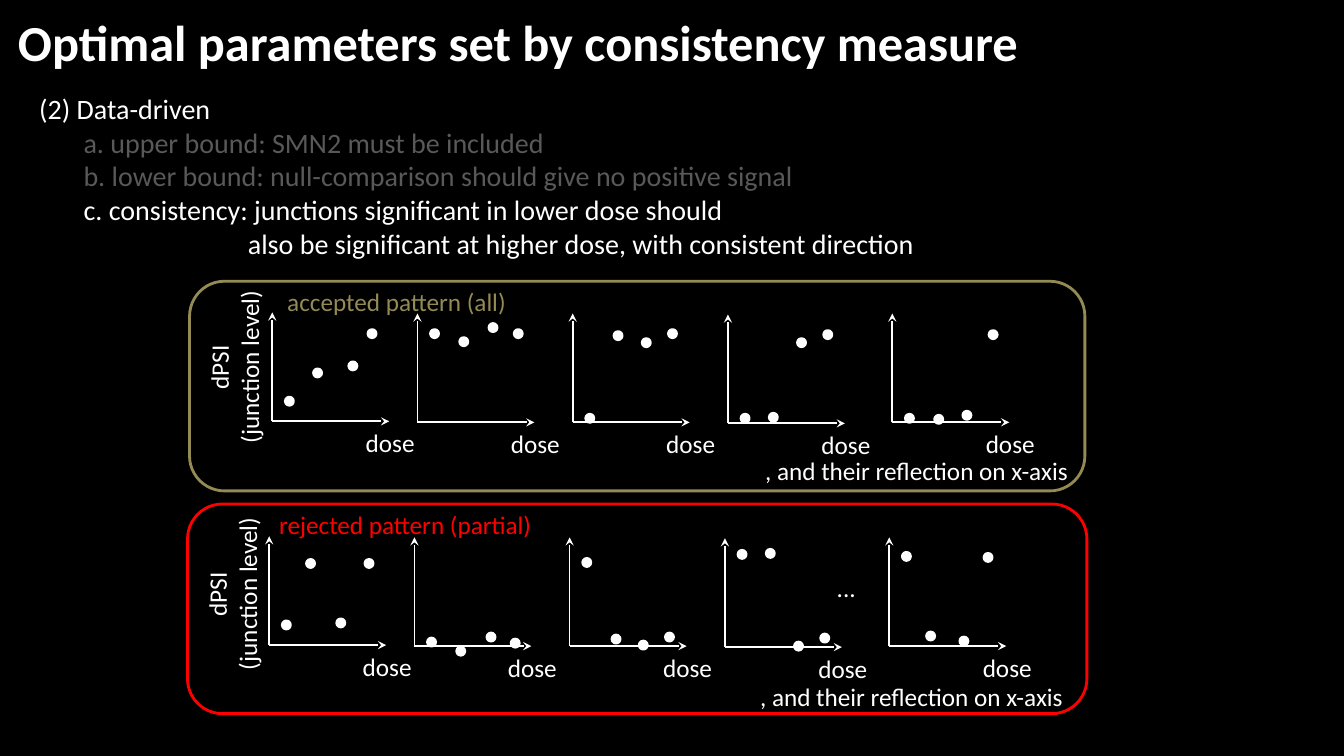
from lxml import etree
from pptx import Presentation
from pptx.dml.color import RGBColor
from pptx.enum.shapes import MSO_CONNECTOR, MSO_SHAPE as SHAPE
from pptx.enum.text import MSO_AUTO_SIZE, PP_ALIGN as ALIGN
from pptx.oxml.ns import qn
from pptx.util import Inches, Pt

BLACK = RGBColor(0x00, 0x00, 0x00)
WHITE = RGBColor(0xFF, 0xFF, 0xFF)
GREY = RGBColor(0x59, 0x59, 0x59)
OLIVE = RGBColor(0x94, 0x8A, 0x54)
RED = RGBColor(0xFF, 0x00, 0x00)

# Axis origins of the five plots in the upper panel
ORIGINS = [(2.7, 4.18), (4.14, 4.19), (5.68, 4.19), (7.22, 4.2), (8.85, 4.19)]
# The lower panel is the upper one moved by this much
SHIFT = (-0.03, 2.22)

# Dot centres per plot: distance right of and above the origin
ACCEPTED = [
    [(0.17, 0.2), (0.45, 0.48), (0.8, 0.55), (0.99, 0.87)],
    [(0.17, 0.88), (0.46, 0.8), (0.75, 0.94), (1, 0.88)],
    [(0.17, 0.04), (0.45, 0.86), (0.73, 0.79), (0.99, 0.88)],
    [(0.17, 0.05), (0.45, 0.06), (0.73, 0.8), (0.99, 0.88)],
    [(0.17, 0.04), (0.46, 0.03), (0.74, 0.07), (1, 0.87)],
]
REJECTED = [
    [(0.17, 0.2), (0.41, 0.81), (0.71, 0.22), (0.99, 0.81)],
    [(0.17, 0.04), (0.46, -0.05), (0.76, 0.09), (1, 0.03)],
    [(0.17, 0.83), (0.46, 0.07), (0.73, 0.01), (0.99, 0.09)],
    [(0.17, 0.92), (0.45, 0.93), (0.73, 0.01), (0.99, 0.09)],
    [(0.17, 0.89), (0.41, 0.1), (0.74, 0.05), (0.98, 0.88)],
]


def add_run(p, text, size=18, color=WHITE, bold=False, font="Calibri"):
    r = p.add_run()
    r.text = text
    r.font.name = font
    r.font.size = Pt(size)
    r.font.bold = bold
    r.font.color.rgb = color


class Board:
    """Draws the elements of one slide in a common style."""

    dot_size = 0.08
    axis_width, axis_height = 1.16, 1.08

    def __init__(self, slide):
        self.s = slide
        self.s.background.fill.solid()
        self.s.background.fill.fore_color.rgb = BLACK

    def text(self, box, lines, align=ALIGN.LEFT, rotation=0, **fmt):
        """Each line is a string or a (string, indent, colour) tuple."""
        sp = self.s.shapes.add_textbox(*map(Inches, box))
        sp.rotation = rotation
        tf = sp.text_frame
        tf.word_wrap = True
        tf.auto_size = MSO_AUTO_SIZE.SHAPE_TO_FIT_TEXT
        for i, line in enumerate(lines):
            p = tf.paragraphs[0] if i == 0 else tf.add_paragraph()
            p.alignment = align
            if isinstance(line, tuple):
                line, indent, fmt["color"] = line
                p._p.get_or_add_pPr().set("marL", str(Inches(indent)))
            add_run(p, line, **fmt)

    def shape(self, kind, box, line, fill=None):
        sp = self.s.shapes.add_shape(kind, *map(Inches, box))
        sp.shadow.inherit = False
        sp.line.color.rgb = line
        sp.line.width = Pt(2)
        if fill is None:
            sp.fill.background()
        else:
            sp.fill.solid()
            sp.fill.fore_color.rgb = fill

    def arrow(self, x1, y1, x2, y2):
        c = self.s.shapes.add_connector(
            MSO_CONNECTOR.STRAIGHT, *map(Inches, (x1, y1, x2, y2)))
        c.line.color.rgb = WHITE
        c.line.width = Pt(1.25)
        ln = c.line._get_or_add_ln()
        etree.SubElement(ln, qn("a:tailEnd"), type="stealth")
        etree.SubElement(c._element.spPr, qn("a:effectLst"))

    def plot(self, x, y, dots):
        self.arrow(x, y, x + self.axis_width, y)
        self.arrow(x, y, x, y - self.axis_height)
        self.text((x + 0.67, y + 0.01, 1, 0.4), ["dose"], align=ALIGN.CENTER)
        d = self.dot_size
        for dx, dy in dots:
            self.shape(SHAPE.OVAL, (x + dx - d / 2, y - dy - d / 2, d, d),
                       WHITE, fill=WHITE)

    def panel(self, frame, title, title_x, color, label, note, shift, plots):
        self.shape(SHAPE.ROUNDED_RECTANGLE, frame, color)
        self.text((title_x, frame[1], 3.78, 0.4), [title], color=color)
        self.text((*label, 1.87, 0.71), ["dPSI", "(junction level)"],
                  align=ALIGN.CENTER, rotation=270)
        for (x, y), dots in zip(ORIGINS, plots):
            self.plot(x + shift[0], y + shift[1], dots)
        self.text((*note, 3.78, 0.4), [", and their reflection on x-axis"])


def main():
    prs = Presentation()
    prs.slide_width, prs.slide_height = Inches(13.33), Inches(7.5)
    board = Board(prs.slides.add_slide(prs.slide_layouts[6]))

    # Title and list of criteria
    board.text((0.08, 0.06, 12.5, 0.71),
               ["Optimal parameters set by consistency measure"],
               size=36, bold=True)
    board.text((0.29, 0.86, 10.54, 1.78), [
        ("(2) Data-driven", 0, WHITE),
        ("a. upper bound: SMN2 must be included", 0.44, GREY),
        ("b. lower bound: null-comparison should give no positive signal",
         0.44, GREY),
        ("c. consistency: junctions significant in lower dose should",
         0.44, WHITE),
        ("also be significant at higher dose, with consistent direction",
         2.07, WHITE),
    ], size=20)

    # Accepted patterns
    board.panel((1.88, 2.79, 8.88, 2.08), "accepted pattern (all)", 2.75,
                OLIVE, label=(1.39, 3.29), note=(7.49, 4.47),
                shift=(0, 0), plots=ACCEPTED)

    # Rejected patterns
    board.panel((1.86, 5, 8.92, 2.08), "rejected pattern (partial)", 2.67,
                RED, label=(1.37, 5.54), note=(7.44, 6.71),
                shift=SHIFT, plots=REJECTED)
    board.text((8.2, 5.63, 0.55, 0.4), ["..."])

    prs.save("out.pptx")


if __name__ == "__main__":
    main()
